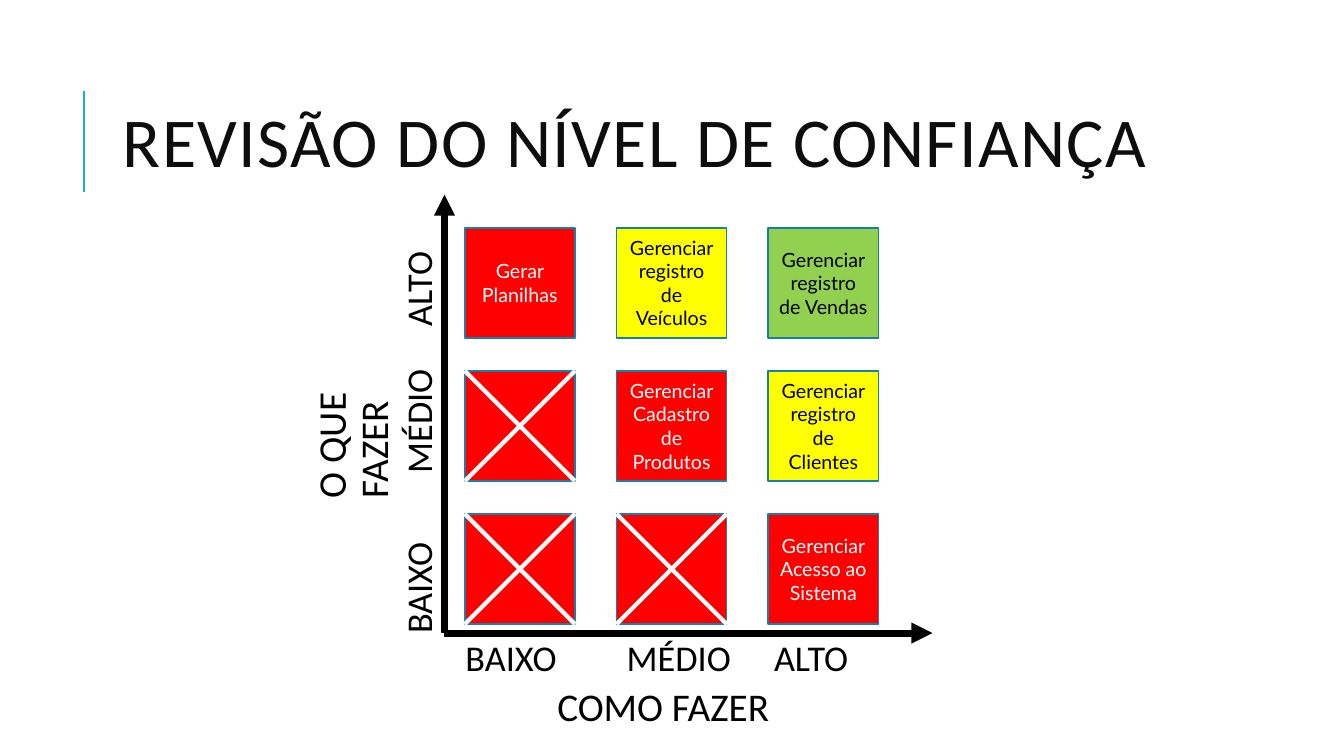
from pptx import Presentation
from pptx.dml.color import RGBColor
from pptx.enum.shapes import MSO_CONNECTOR, MSO_SHAPE
from pptx.enum.text import MSO_ANCHOR, MSO_AUTO_SIZE, PP_ALIGN
from pptx.oxml.ns import qn
from pptx.util import Pt
from lxml import etree

STRAIGHT, RECT = MSO_CONNECTOR.STRAIGHT, MSO_SHAPE.RECTANGLE
MIDDLE, NO_FIT = MSO_ANCHOR.MIDDLE, MSO_AUTO_SIZE.NONE
LEFT, CENTER = PP_ALIGN.LEFT, PP_ALIGN.CENTER

THEME = {
    "accent": "1CADE4", "border": "1580A9", "title": "0D0D0D",
    "black": "000000", "white": "FFFFFF",
    "red": "FF0000", "yellow": "FFFF00", "green": "92D050",
    "heading_font": "Calibri", "body_font": "Lato",
    "title_size": 50, "axis_size": 28, "level_size": 25.9, "cell_size": 14,
}


def write(shape, text, size, color, font="heading_font", align=LEFT, spacing=1.0):
    tf = shape.text_frame
    tf.word_wrap = True
    tf.auto_size = NO_FIT
    tf.vertical_anchor = MIDDLE
    p = tf.paragraphs[0]
    p.alignment = align
    p.line_spacing = spacing
    r = p.add_run()
    r.text = text
    r.font.size = Pt(THEME[size])
    r.font.name = THEME[font]
    r.font.color.rgb = RGBColor.from_string(THEME[color])
    return r


def add_line(x1, y1, x2, y2, color, width, arrow=False):
    line = s.shapes.add_connector(STRAIGHT, Pt(x1), Pt(y1), Pt(x2), Pt(y2))
    line.line.color.rgb = RGBColor.from_string(THEME[color])
    line.line.width = Pt(width)
    if arrow:
        etree.SubElement(line.line._get_or_add_ln(), qn("a:tailEnd"), type="triangle")
    etree.SubElement(line._element.spPr, qn("a:effectLst"))


prs = Presentation()
prs.slide_width, prs.slide_height = Pt(960), Pt(540)
s = prs.slides.add_slide(prs.slide_layouts[5])

# Title with its accent rule
title = s.shapes.title
title.left, title.top, title.width, title.height = Pt(80.6), Pt(46), Pt(765.4), Pt(118)
r = write(title, "REVISÃO DO NÍVEL DE CONFIANÇA", "title_size", "title", spacing=0.8)
r._r.get_or_add_rPr().set("spc", "100")
add_line(60, 136.8, 60, 64.8, "accent", 1.5)

# Confidence matrix, top row first; a cell without text is crossed out
matrix = [
    [("Gerar Planilhas", "red"), ("Gerenciar registro de Veículos", "yellow"),
     ("Gerenciar registro de Vendas", "green")],
    [("", "red"), ("Gerenciar Cadastro de Produtos", "red"),
     ("Gerenciar registro de Clientes", "yellow")],
    [("", "red"), ("", "red"), ("Gerenciar Acesso ao Sistema", "red")],
]
CELL, GRID_X, GRID_Y, STEP_X, STEP_Y = 78.7, 332, 162.7, 108.4, 102.2
for row, cells in enumerate(matrix):
    for col, (text, fill) in enumerate(cells):
        x, y = GRID_X + col * STEP_X, GRID_Y + row * STEP_Y
        sp = s.shapes.add_shape(RECT, Pt(x), Pt(y), Pt(CELL), Pt(CELL))
        sp.shadow.inherit = False
        sp.fill.solid()
        sp.fill.fore_color.rgb = RGBColor.from_string(THEME[fill])
        sp.line.color.rgb = RGBColor.from_string(THEME["border"])
        sp.line.width = Pt(1.25)
        if text:
            write(sp, text, "cell_size", "white" if fill == "red" else "black",
                  "body_font", CENTER)
        else:
            add_line(x, y, x + CELL, y + CELL, "white", 3)
            add_line(x + CELL, y, x, y + CELL, "white", 3)

# Axis names and levels: text, left, top, width, height, rotation, size, spacing
labels = [
    ("COMO FAZER", 391, 485.3, 177, 42.5, 0, "axis_size", 0.9),
    ("O QUE FAZER", 185.8, 274.3, 134.6, 42.5, 270, "axis_size", 0.9),
]
levels = [("BAIXO", 325.4, 397.4), ("MÉDIO", 440.6, 283), ("ALTO", 545.8, 177.8)]
for level, x, y in levels:
    labels.append((level, x, 455.8, 91.4, 33.1, 0, "level_size", 0.8))
    labels.append((level, 255.6, y, 91.4, 33.1, 270, "level_size", 0.8))
for text, x, y, w, h, rotation, size, spacing in labels:
    box = s.shapes.add_textbox(Pt(x), Pt(y), Pt(w), Pt(h))
    box.rotation = rotation
    write(box, text, size, "black", spacing=spacing)

# Axes
ORIGIN_X, ORIGIN_Y = 317.5, 452.2
add_line(ORIGIN_X, ORIGIN_Y, ORIGIN_X, 139, "black", 5, arrow=True)
add_line(ORIGIN_X, ORIGIN_Y, 666, ORIGIN_Y, "black", 5, arrow=True)

prs.save("out.pptx")
